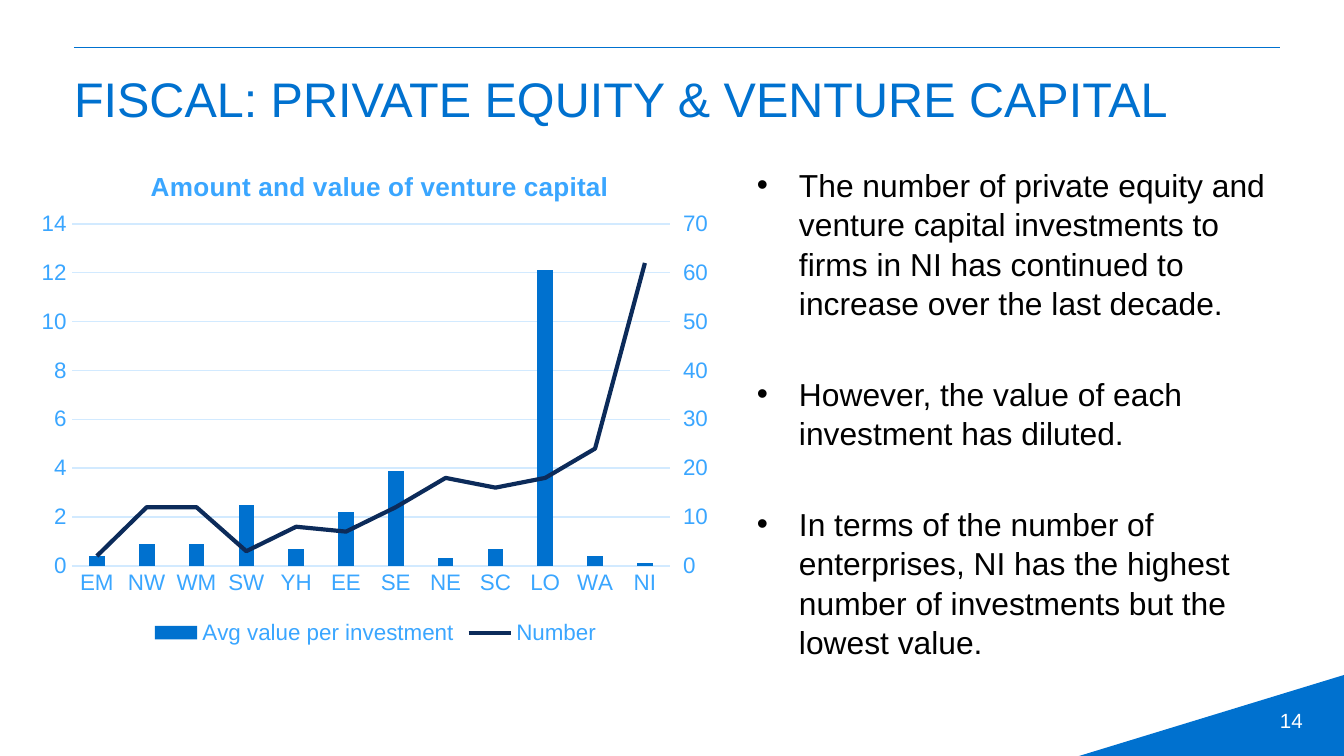
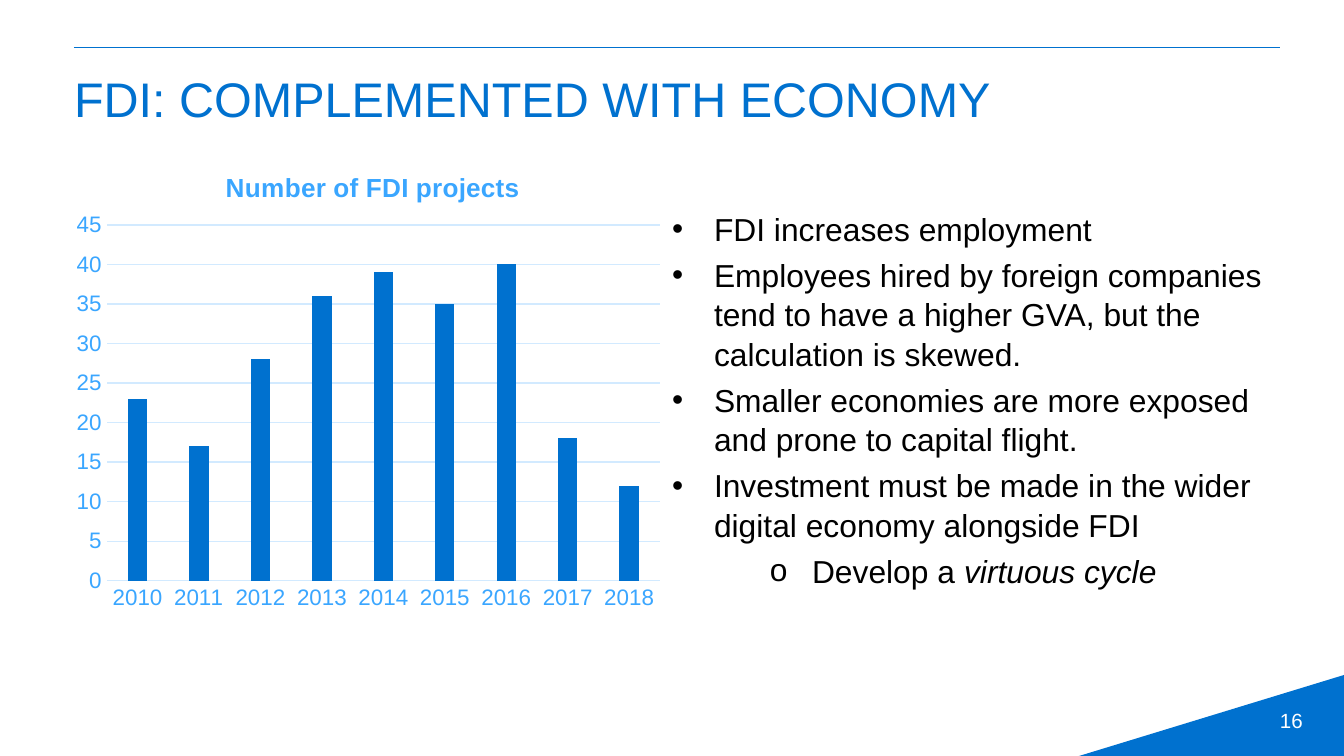
from lxml.etree import SubElement
from pptx import Presentation
from pptx.chart.axis import ValueAxis
from pptx.chart.data import CategoryChartData as Data
from pptx.dml.color import RGBColor
from pptx.enum.chart import XL_CHART_TYPE as Kind
from pptx.enum.chart import XL_LEGEND_POSITION as Spot
from pptx.enum.chart import XL_MARKER_STYLE as Mark
from pptx.enum.chart import XL_TICK_MARK as Tick
from pptx.enum.shapes import MSO_CONNECTOR as Link
from pptx.enum.shapes import MSO_SHAPE as Shape
from pptx.enum.text import MSO_ANCHOR as Anchor
from pptx.enum.text import MSO_AUTO_SIZE as Fit
from pptx.enum.text import PP_ALIGN as Align
from pptx.oxml import parse_xml
from pptx.oxml.ns import nsdecls, qn
from pptx.util import Emu, Pt

BLUE = RGBColor(0x00, 0x71, 0xCF)
SKY = RGBColor(0x3A, 0xA6, 0xFF)
PALE = RGBColor(0xD2, 0xEA, 0xFF)
NAVY = RGBColor(0x0C, 0x2B, 0x5A)
BLACK = RGBColor(0x00, 0x00, 0x00)
WHITE = RGBColor(0xFF, 0xFF, 0xFF)
FONT = "Arial"
WIDE, HIGH = 1344, 756
SCALE = 914400 / 134.4
INDENT = 42
TIGHT, LOOSE = Pt(3.4), Pt(27.2)


def px(num):
    return Emu(round(num * SCALE))


def put(shape, box):
    shape.left, shape.top, shape.width, shape.height = map(px, box)


def style(font, size, color, bold=False):
    font.name = FONT
    font.size = Pt(size)
    font.bold = bold
    font.color.rgb = color


def add_run(para, text, size, color, slant=False):
    run = para.add_run()
    run.text = text
    style(run.font, size, color)
    if slant:
        run.font.italic = True


def set_frame(frame, anchor, top=0, bottom=0):
    frame.auto_size = Fit.NONE
    frame.word_wrap = True
    frame.vertical_anchor = anchor
    frame.margin_left = frame.margin_right = 0
    frame.margin_top, frame.margin_bottom = px(top), px(bottom)


def add_rule(slide):
    rule = slide.shapes.add_connector(Link.STRAIGHT, px(74), px(47), px(1280), px(47))
    rule.line.color.rgb = BLUE
    rule.line.width = Pt(0.25)
    SubElement(rule.element.spPr, qn("a:effectLst"))


def add_wedge(slide):
    wedge = slide.shapes.add_shape(Shape.ISOSCELES_TRIANGLE, px(1079), px(675), px(265), px(81))
    wedge.adjustments[0] = 1
    wedge.shadow.inherit = False
    wedge.fill.solid()
    wedge.fill.fore_color.rgb = BLUE
    wedge.line.fill.background()


def add_page(slide, page):
    frame = slide.shapes.add_textbox(px(1003), px(700), px(313), px(40)).text_frame
    frame.word_wrap = True
    frame.vertical_anchor = Anchor.MIDDLE
    para = frame.paragraphs[0]
    para.alignment = Align.RIGHT
    add_run(para, page, 11, WHITE)


def add_slide(deck, title, page):
    slide = deck.slides.add_slide(deck.slide_layouts[1])
    add_rule(slide)
    add_wedge(slide)
    add_page(slide, page)
    head = slide.shapes.title
    put(head, (74, 63, 1207, 78))
    set_frame(head.text_frame, Anchor.TOP, top=6)
    para = head.text_frame.paragraphs[0]
    para.alignment = Align.LEFT
    add_run(para, title, 26, BLUE)
    return slide


def set_bullet(para, sign, left):
    props = para._p.get_or_add_pPr()
    props.set("marL", str(px(left)))
    props.set("indent", str(px(-INDENT)))
    SubElement(props, qn("a:buFont")).set("typeface", FONT)
    SubElement(props, qn("a:buChar")).set("char", sign)


def add_list(slide, box, items, gap, anchor):
    body = slide.placeholders[1]
    put(body, box)
    frame = body.text_frame
    set_frame(frame, anchor, bottom=7)
    for rank, (level, runs) in enumerate(items):
        para = frame.add_paragraph() if rank else frame.paragraphs[0]
        para.level = level
        para.alignment = Align.LEFT
        para.line_spacing = 1.04
        para.space_before = gap if rank else TIGHT
        para.space_after = Pt(0)
        set_bullet(para, "o" if level else "•", 140 if level else INDENT)
        for text, slant in runs:
            add_run(para, text, 17, BLACK, slant)


def set_place(host, frame, spot, inner=False):
    lay = host.find(qn("c:layout"))
    if lay is None:
        lay = parse_xml(f"<c:layout {nsdecls('c')}/>")
        host.insert(0, lay)
    form = SubElement(lay, qn("c:manualLayout"))
    if inner:
        SubElement(form, qn("c:layoutTarget")).set("val", "inner")
    for key in "xy":
        SubElement(form, qn(f"c:{key}Mode")).set("val", "edge")
    left, top, wide, high = frame
    parts = [(spot[0] - left) / wide, (spot[1] - top) / high]
    if inner:
        parts += [spot[2] / wide, spot[3] / high]
    for key, part in zip("xywh", parts):
        SubElement(form, qn(f"c:{key}")).set("val", f"{part:.4f}")


def set_scale(axis, top, step, tick=Tick.NONE):
    axis.minimum_scale, axis.maximum_scale, axis.major_unit = 0, top, step
    axis.major_tick_mark = tick
    axis.minor_tick_mark = Tick.NONE
    axis.format.line.fill.background()
    style(axis.tick_labels.font, 12, SKY)


def set_line(line, color, width):
    line.color.rgb = color
    line.width = Pt(width)


def add_chart(slide, box, title, spot, plot_box, cats, series, top, step):
    data = Data()
    data.categories = cats
    for name, vals in series:
        data.add_series(name, vals)
    chart = slide.shapes.add_chart(Kind.COLUMN_CLUSTERED, *map(px, box), data).chart
    style(chart.font, 10, BLUE)
    chart.has_legend = False
    head = chart.chart_title
    para = head.text_frame.paragraphs[0]
    add_run(para, title, 14, SKY)
    para.runs[0].font.bold = True
    head.include_in_layout = False
    set_place(head.element, box, spot)
    set_place(chart.element.find(".//" + qn("c:plotArea")), box, plot_box, True)
    plot = chart.plots[0]
    plot.gap_width, plot.overlap = 219, -27
    plot.vary_by_categories = False
    bars = plot.series[0]
    bars.format.fill.solid()
    bars.format.fill.fore_color.rgb = BLUE
    base = chart.category_axis
    base.major_tick_mark = base.minor_tick_mark = Tick.NONE
    base.has_major_gridlines = False
    set_line(base.format.line, PALE, 0.75)
    style(base.tick_labels.font, 12, SKY)
    side = chart.value_axis
    set_scale(side, top, step)
    side.has_major_gridlines = True
    set_line(side.major_gridlines.format.line, PALE, 0.75)
    return chart


def split_line(chart, top, step):
    bars = chart.element.find(".//" + qn("c:barChart"))
    area = bars.getparent()
    ser = bars.findall(qn("c:ser"))[1]
    flag = ser.find(qn("c:invertIfNegative"))
    if flag is not None:
        ser.remove(flag)
    lines = parse_xml(
        f'<c:lineChart {nsdecls("c")}><c:grouping val="standard"/><c:varyColors val="0"/>'
        '<c:marker val="1"/><c:axId val="501"/><c:axId val="502"/></c:lineChart>')
    lines.insert(2, ser)
    bars.addnext(lines)
    base = parse_xml(
        f'<c:catAx {nsdecls("c")}><c:axId val="501"/><c:scaling><c:orientation val="minMax"/>'
        '</c:scaling><c:delete val="1"/><c:axPos val="b"/><c:crossAx val="502"/></c:catAx>')
    side = parse_xml(
        f'<c:valAx {nsdecls("c")}><c:axId val="502"/><c:scaling><c:orientation val="minMax"/>'
        '</c:scaling><c:delete val="0"/><c:axPos val="r"/>'
        '<c:numFmt formatCode="General" sourceLinked="0"/><c:tickLblPos val="nextTo"/>'
        '<c:crossAx val="501"/><c:crosses val="max"/></c:valAx>')
    area.findall(qn("c:valAx"))[-1].addnext(base)
    base.addnext(side)
    set_scale(ValueAxis(side), top, step, Tick.OUTSIDE)
    curve = chart.plots[1].series[0]
    set_line(curve.format.line, NAVY, 2.25)
    curve.marker.style = Mark.NONE
    curve.smooth = False


def add_legend(chart):
    chart.has_legend = True
    chart.legend.position = Spot.BOTTOM
    chart.legend.include_in_layout = False
    style(chart.legend.font, 12, SKY)


def plain(*texts):
    return [(0, [(text, False)]) for text in texts]


def main():
    deck = Presentation()
    deck.slide_width, deck.slide_height = px(WIDE), px(HIGH)

    slide = add_slide(deck, "FISCAL: PRIVATE EQUITY & VENTURE CAPITAL", "14")
    add_list(slide, (757, 164, 523, 508), plain(
        "The number of private equity and venture capital investments to firms in NI "
        "has continued to increase over the last decade.",
        "However, the value of each investment has diluted.",
        "In terms of the number of enterprises, NI has the highest number of investments "
        "but the lowest value.",
    ), LOOSE, Anchor.TOP)
    chart = add_chart(
        slide, (28, 142, 695, 508), "Amount and value of venture capital", (146, 165),
        (72, 224, 598, 342),
        ["EM", "NW", "WM", "SW", "YH", "EE", "SE", "NE", "SC", "LO", "WA", "NI"],
        [("Avg value per investment",
          [0.4, 0.9, 0.9, 2.5, 0.7, 2.2, 3.9, 0.3, 0.7, 12.1, 0.4, 0.1]),
         ("Number", [2, 12, 12, 3, 8, 7, 12, 18, 16, 18, 24, 62])], 14, 2)
    split_line(chart, 70, 10)
    add_legend(chart)

    slide = add_slide(deck, "FDI: COMPLEMENTED WITH ECONOMY", "16")
    items = plain(
        "FDI increases employment",
        "Employees hired by foreign companies tend to have a higher GVA, "
        "but the calculation is skewed.",
        "Smaller economies are more exposed and prone to capital flight.",
        "Investment must be made in the wider digital economy alongside FDI",
    )
    items.append((1, [("Develop a ", False), ("virtuous cycle", True)]))
    add_list(slide, (672, 164, 626, 477), items, TIGHT, Anchor.MIDDLE)
    add_chart(
        slide, (65, 142, 607, 477), "Number of FDI projects", (221, 166),
        (107, 225, 553, 356), [str(year) for year in range(2010, 2019)],
        [("Series 1", [23, 17, 28, 36, 39, 35, 40, 18, 12])], 45, 5)

    deck.save("out.pptx")


if __name__ == "__main__":
    main()
